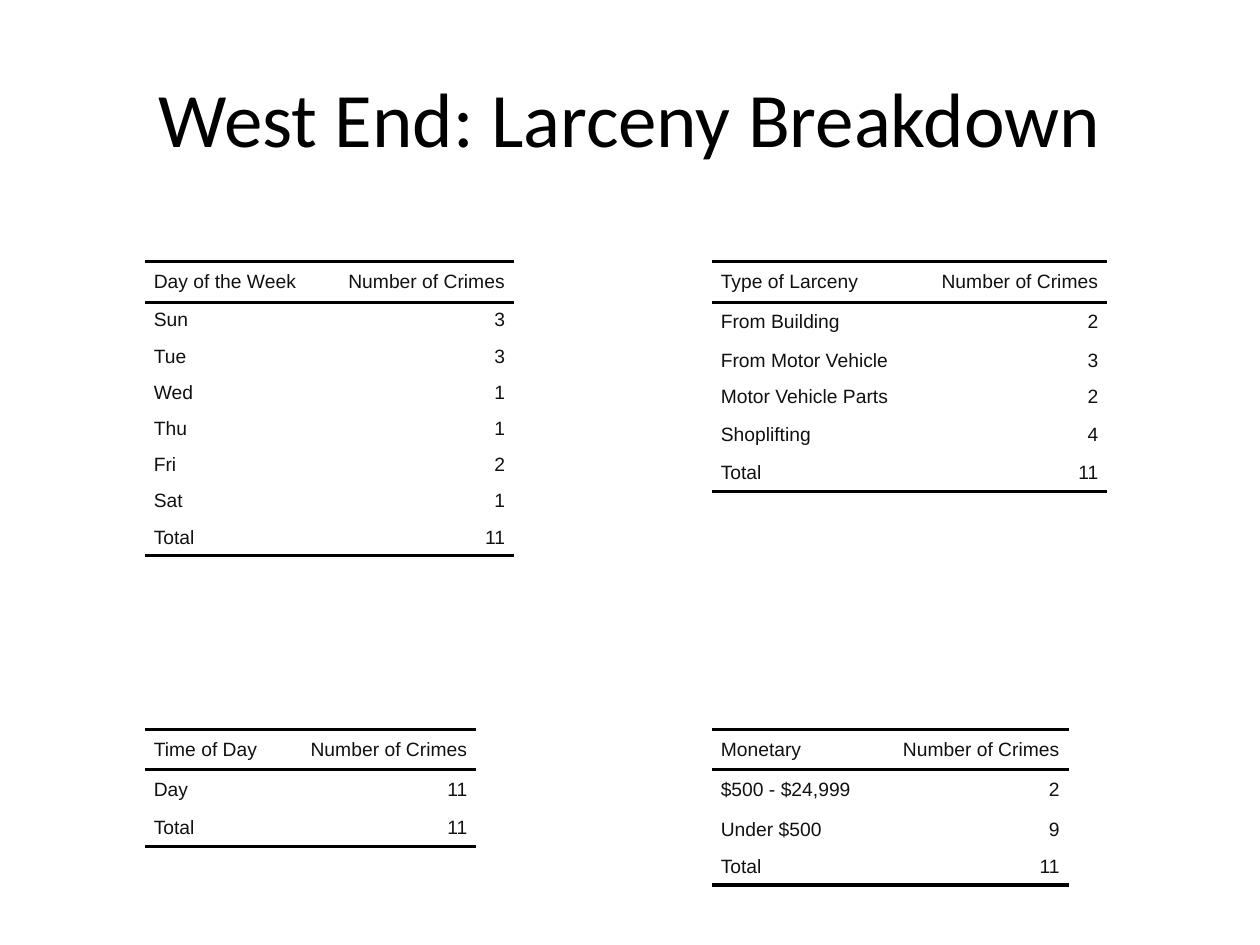
from lxml import etree
from pptx import Presentation
from pptx.dml.color import RGBColor
from pptx.enum.text import MSO_ANCHOR, PP_ALIGN
from pptx.oxml.ns import qn
from pptx.util import Cm, Pt

MIDDLE = MSO_ANCHOR.MIDDLE
LEFT, CENTER, RIGHT = PP_ALIGN.LEFT, PP_ALIGN.CENTER, PP_ALIGN.RIGHT
COLORS = {"title": "000000", "text": "111111", "rule": "000000"}
NO_GRID = "{2D5ABB26-0587-4C30-8999-92F81FD0307C}"
INDENT = Cm(0.18)
COUNT_WIDTH = 3.86
COUNT_HEADING = "Number of Crimes"
LEFT_X, RIGHT_X = 2.92, 14.35
TOP_Y, BOTTOM_Y = 5.28, 14.71
TALL, MID, SHORT = 0.81, 0.78, 0.73


class SlideBuilder:
    def __init__(self, slide):
        self.s = slide

    def style(self, p, font, size, color, align):
        p.alignment = align
        for r in p.runs:
            r.font.name = font
            r.font.size = Pt(size)
            r.font.bold = False
            r.font.color.rgb = RGBColor.from_string(COLORS[color])

    def title(self, text, x, y, w, h):
        sp = self.s.shapes.add_textbox(Cm(x), Cm(y), Cm(w), Cm(h))
        tf = sp.text_frame
        tf.word_wrap = True
        tf.vertical_anchor = MIDDLE
        tf.text = text
        self.style(tf.paragraphs[0], "Calibri", 44, "title", CENTER)

    def rule(self, cell, side):
        tc_pr = cell._tc.get_or_add_tcPr()
        ln = etree.SubElement(tc_pr, qn(f"a:ln{side}"), w=str(Pt(2)))
        fill = etree.SubElement(ln, qn("a:solidFill"))
        etree.SubElement(fill, qn("a:srgbClr"), val=COLORS["rule"])

    def cell(self, cell, text, align, sides):
        cell.margin_left = cell.margin_right = 0
        cell.margin_top = cell.margin_bottom = 0
        cell.vertical_anchor = MIDDLE
        cell.text_frame.text = text
        p = cell.text_frame.paragraphs[0]
        p_pr = p._p.get_or_add_pPr()
        for margin in ("marL", "marR"):
            p_pr.set(margin, str(INDENT))
        self.style(p, "Arial", 11, "text", align)
        for side in sides:
            self.rule(cell, side)
        cell.fill.background()

    def table(self, x, y, label_width, heading, counts, heights):
        total = sum(n for _, n in counts)
        rows = [(heading, COUNT_HEADING), *counts, ("Total", total)]
        widths = (label_width, COUNT_WIDTH)
        frame = self.s.shapes.add_table(len(rows), 2, Cm(x), Cm(y),
                                        Cm(sum(widths)), Cm(sum(heights)))
        table = frame.table
        table.first_row = table.horz_banding = False
        table._tbl.tblPr.find(qn("a:tableStyleId")).text = NO_GRID
        for column, width in zip(table.columns, widths):
            column.width = Cm(width)
        for i, (row, height) in enumerate(zip(rows, heights)):
            table.rows[i].height = Cm(height)
            # Rules above and below the heading, and below the total
            sides = {0: "TB", len(rows) - 1: "B"}.get(i, "")
            for j, align in enumerate((LEFT, RIGHT)):
                self.cell(table.cell(i, j), str(row[j]), align, sides)


def main():
    prs = Presentation()
    prs.slide_width, prs.slide_height = Cm(25.4), Cm(19.05)
    b = SlideBuilder(prs.slides.add_slide(prs.slide_layouts[6]))

    b.title("West End: Larceny Breakdown", 1.27, 0.76, 22.86, 3.18)

    # Left column: when the crimes happened
    b.table(LEFT_X, TOP_Y, 3.58, "Day of the Week",
            [("Sun", 3), ("Tue", 3), ("Wed", 1), ("Thu", 1), ("Fri", 2), ("Sat", 1)],
            [TALL] + [SHORT] * 7)
    b.table(LEFT_X, BOTTOM_Y, 2.82, "Time of Day", [("Day", 11)],
            [TALL, TALL, SHORT])

    # Right column: what was taken
    b.table(RIGHT_X, TOP_Y, 4.11, "Type of Larceny",
            [("From Building", 2), ("From Motor Vehicle", 3),
             ("Motor Vehicle Parts", 2), ("Shoplifting", 4)],
            [TALL, TALL, SHORT, SHORT, TALL, SHORT])
    b.table(RIGHT_X, BOTTOM_Y, 3.33, "Monetary",
            [("$500 - $24,999", 2), ("Under $500", 9)],
            [TALL, TALL, MID, SHORT])

    prs.save("out.pptx")


if __name__ == "__main__":
    main()
